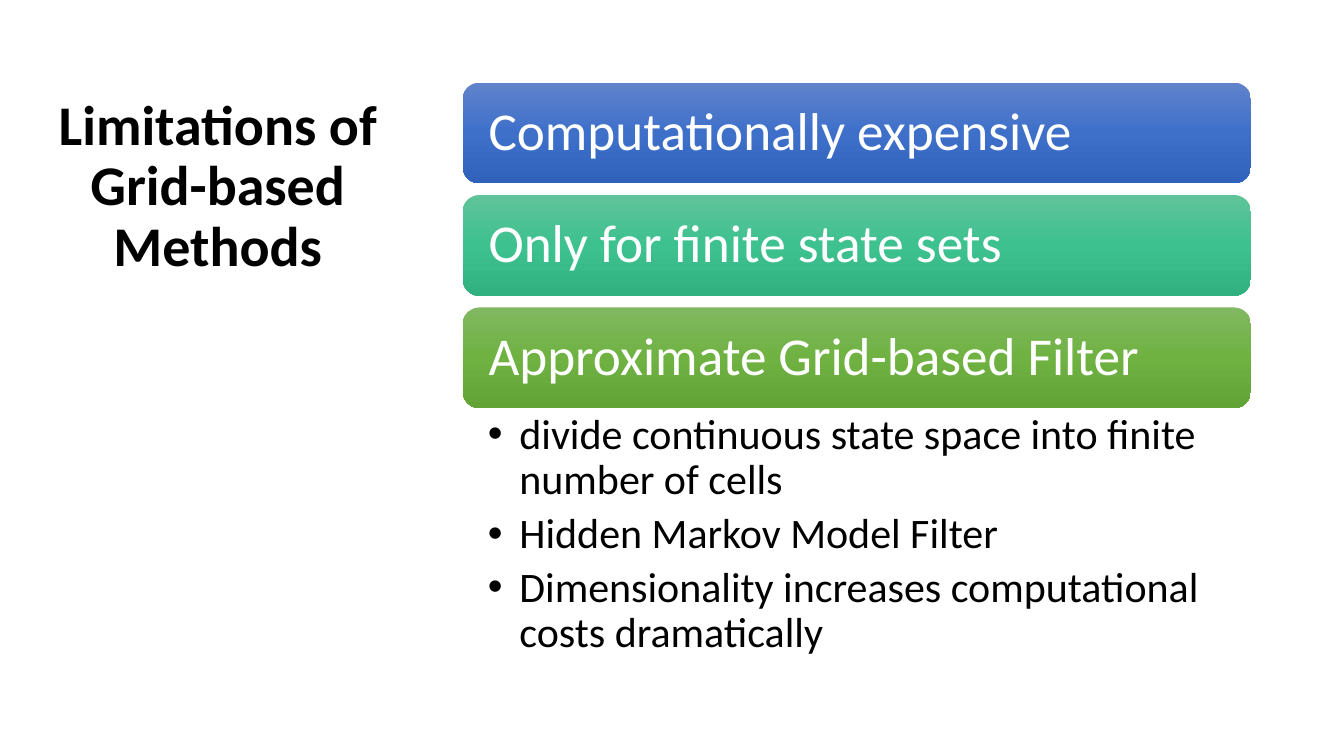
import copy
import dataclasses

import pptx
import pptx.dml.color
import pptx.enum.shapes
import pptx.enum.text
import pptx.oxml
import pptx.oxml.ns
import pptx.util

Pt = pptx.util.Pt
Align = pptx.enum.text.PP_ALIGN
Anchor = pptx.enum.text.MSO_ANCHOR


@dataclasses.dataclass(frozen=True)
class Theme:
    font: str = "Calibri"
    dark: str = "000000"
    light: str = "FFFFFF"
    title_size: float = 40
    bar_size: float = 38
    list_size: float = 30
    blue: tuple = ("6183CB", "3E70CA", "3062BB")
    teal: tuple = ("60C39A", "3DC18F", "31B080")
    green: tuple = ("81B861", "6FB242", "62A336")


def rgb(color):
    return pptx.dml.color.RGBColor.from_string(color)


def write_text(shape, lines, *, font, size, color, bold=False, align=Align.LEFT,
               anchor=Anchor.TOP, margins=(7.2, 3.6, 7.2, 3.6), space_after=0):
    frame = shape.text_frame
    frame.text = "\n".join(lines)
    frame.word_wrap = True
    frame.auto_size = pptx.enum.text.MSO_AUTO_SIZE.NONE
    frame.vertical_anchor = anchor
    (frame.margin_left, frame.margin_top,
     frame.margin_right, frame.margin_bottom) = map(Pt, margins)
    for paragraph in frame.paragraphs:
        paragraph.alignment = align
        paragraph.line_spacing = 0.9
        paragraph.space_before = Pt(0)
        paragraph.space_after = Pt(space_after)
        for run in paragraph.runs:
            run.font.name = font
            run.font.size = Pt(size)
            run.font.bold = bold
            run.font.color.rgb = rgb(color)


class SlideBuilder:
    def __init__(self, presentation, theme):
        self.theme = theme
        self.slide = presentation.slides.add_slide(presentation.slide_layouts[1])

    def place(self, shape, left, top, width, height):
        shape.left, shape.top = Pt(left), Pt(top)
        shape.width, shape.height = Pt(width), Pt(height)

    def title(self, text, *box):
        shape = self.slide.shapes.title
        self.place(shape, *box)
        write_text(shape, [text], font=self.theme.font, size=self.theme.title_size,
                   color=self.theme.dark, bold=True, align=Align.CENTER)

    def bar(self, text, colors, *box):
        shape = self.slide.shapes.add_shape(
            pptx.enum.shapes.MSO_SHAPE.ROUNDED_RECTANGLE, *map(Pt, box))
        shape.shadow.inherit = False
        shape.line.fill.background()
        self.gradient(shape, colors)
        write_text(shape, [text], font=self.theme.font, size=self.theme.bar_size,
                   color=self.theme.light, anchor=Anchor.MIDDLE,
                   margins=(15, 3.6, 15, 3.6))

    def gradient(self, shape, colors):
        shape.fill.gradient()
        shape.fill.gradient_angle = 270
        stop_list = shape.element.spPr.find(".//" + pptx.oxml.ns.qn("a:gsLst"))
        stop_list.append(copy.deepcopy(stop_list[-1]))
        for index, (stop, color) in enumerate(zip(shape.fill.gradient_stops, colors)):
            stop.position = index / (len(colors) - 1)
            stop.color.rgb = rgb(color)

    def bullets(self, lines, *box):
        shape = self.slide.placeholders[1]
        self.place(shape, *box)
        write_text(shape, lines, font=self.theme.font, size=self.theme.list_size,
                   color=self.theme.dark, margins=(18, 3.6, 21.6, 3.6), space_after=6)
        for paragraph in shape.text_frame.paragraphs:
            properties = paragraph._p.get_or_add_pPr()
            properties.set("marL", str(Pt(22.5)))
            properties.set("indent", str(-Pt(22.5)))
            bullet = pptx.oxml.parse_xml(
                f'<a:buChar {pptx.oxml.ns.nsdecls("a")} char="•"/>')
            properties.append(bullet)


def main():
    presentation = pptx.Presentation()
    presentation.slide_width, presentation.slide_height = Pt(960), Pt(540)
    theme = Theme()
    builder = SlideBuilder(presentation, theme)
    builder.title("Limitations of Grid-based Methods", 31.7, 65.5, 247.7, 204.5)

    left, top, width, height, pitch = 330.5, 59, 563, 72, 80.3
    bars = (
        ("Computationally expensive", theme.blue),
        ("Only for finite state sets", theme.teal),
        ("Approximate Grid-based Filter", theme.green),
    )
    for index, (text, colors) in enumerate(bars):
        builder.bar(text, colors, left, top + index * pitch, width, height)

    builder.bullets(
        [
            "divide continuous state space into finite number of cells",
            "Hidden Markov Model Filter",
            "Dimensionality increases computational costs dramatically",
        ],
        left, top + 2 * pitch + height, width, 188.6)
    presentation.save("out.pptx")


if __name__ == "__main__":
    main()
